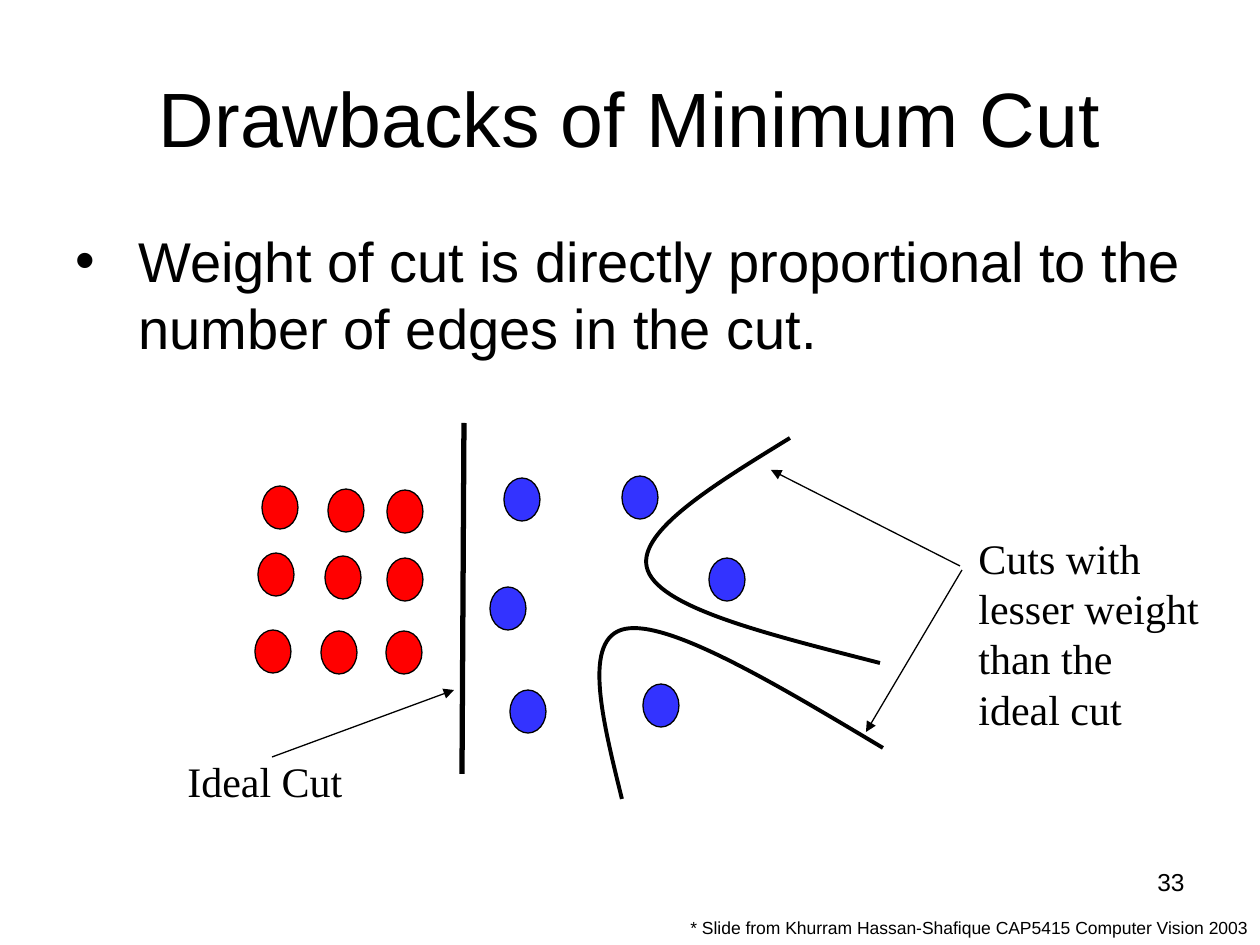
from pptx import Presentation
from pptx.dml.color import RGBColor
from pptx.enum.shapes import MSO_CONNECTOR as Connector, MSO_SHAPE as Shape
from pptx.enum.text import MSO_ANCHOR as Anchor, PP_ALIGN as Align
from pptx.oxml.ns import qn
from pptx.util import Pt
from lxml.etree import SubElement

SCALE = 914400 / 126
BLACK, RED, BLUE = "000000", "FF0000", "3333FF"


def px(*lengths):
    return [round(length * SCALE) for length in lengths]


def color(value):
    return RGBColor.from_string(value)


presentation = Presentation()
presentation.slide_width, presentation.slide_height = px(1260, 945)
slide = presentation.slides.add_slide(presentation.slide_layouts[6])
shapes = slide.shapes

texts = [
    ("Drawbacks of Minimum Cut", (63, 38, 1134, 158), 44, "Arial", Align.CENTER, True),
    ("Weight of cut is directly proportional to the number of edges in the cut.",
     (63, 220, 1134, 624), 32, "Arial", Align.LEFT, True),
    ("Ideal Cut", (175, 749, 180, 63), 24, "Times New Roman", Align.LEFT, False),
    ("Cuts with\nlesser weight\nthan the\nideal cut",
     (966, 526, 246, 214), 24, "Times New Roman", Align.LEFT, False),
    ("* Slide from Khurram Hassan-Shafique CAP5415 Computer Vision 2003",
     (678, 911, 582, 34), 10, "Arial", Align.LEFT, False),
    ("33", (903, 861, 294, 65), 14, "Arial", Align.RIGHT, True),
]
frames = []
for text, box, size, font, align, wrap in texts:
    text_frame = shapes.add_textbox(*px(*box)).text_frame
    text_frame.text = text
    text_frame.word_wrap = wrap
    for paragraph in text_frame.paragraphs:
        paragraph.alignment = align
        for run in paragraph.runs:
            run.font.size = Pt(size)
            run.font.name = font
            run.font.color.rgb = color(BLACK)
    frames.append(text_frame)

title, body = frames[:2]
title.vertical_anchor = Anchor.MIDDLE
bullet_paragraph = body.paragraphs[0]
bullet_paragraph.space_before = Pt(8)
properties = bullet_paragraph._p.get_or_add_pPr()
indent = px(63)[0]
properties.set("marL", str(indent))
properties.set("indent", str(-indent))
SubElement(properties, qn("a:buFont"), typeface="Arial")
SubElement(properties, qn("a:buChar"), char="•")

nodes = {
    RED: [(262, 486), (258, 553), (255, 630), (325, 556), (321, 631),
          (387, 490), (328, 489), (387, 558), (386, 631)],
    BLUE: [(490, 587), (510, 690), (622, 476), (643, 684), (709, 558), (504, 478)],
}
for fill, corners in nodes.items():
    for left, top in corners:
        node = shapes.add_shape(Shape.OVAL, *px(left, top, 36, 43))
        node.shadow.inherit = False
        node.fill.solid()
        node.fill.fore_color.rgb = color(fill)
        node.line.color.rgb = color(BLACK)
        node.line.width = Pt(0.75)

lines = [
    ((464, 423, 462, 774), 3, False),
    ((272, 757, 454, 690), 0.75, True),
    ((960, 566, 771, 470), 0.75, True),
    ((962, 570, 866, 732), 0.75, True),
]
for ends, width, arrow in lines:
    connector = shapes.add_connector(Connector.STRAIGHT, *px(*ends))
    connector.line.color.rgb = color(BLACK)
    connector.line.width = Pt(width)
    if arrow:
        SubElement(connector.line._get_or_add_ln(), qn("a:tailEnd"), type="triangle")
    SubElement(connector._element.spPr, qn("a:effectLst"))

curves = [
    [(790, 438), (712, 486), (633, 534), (648, 571), (663, 609), (771, 635), (880, 663)],
    [(883, 748), (776, 684), (669, 620), (625, 629), (582, 638), (602, 718), (622, 799)],
]
for start, *controls in curves:
    builder = shapes.build_freeform(*start, scale=SCALE)
    builder.add_line_segments(controls, close=False)
    curve = builder.convert_to_shape()
    curve.shadow.inherit = False
    curve.fill.background()
    curve.line.color.rgb = color(BLACK)
    curve.line.width = Pt(2.25)
    outline = curve._element.find(".//" + qn("a:path"))
    segments = outline.findall(qn("a:lnTo"))
    for first in range(0, len(segments), 3):
        bezier = SubElement(outline, qn("a:cubicBezTo"))
        for segment in segments[first:first + 3]:
            bezier.append(segment[0])
            outline.remove(segment)

presentation.save("out.pptx")
